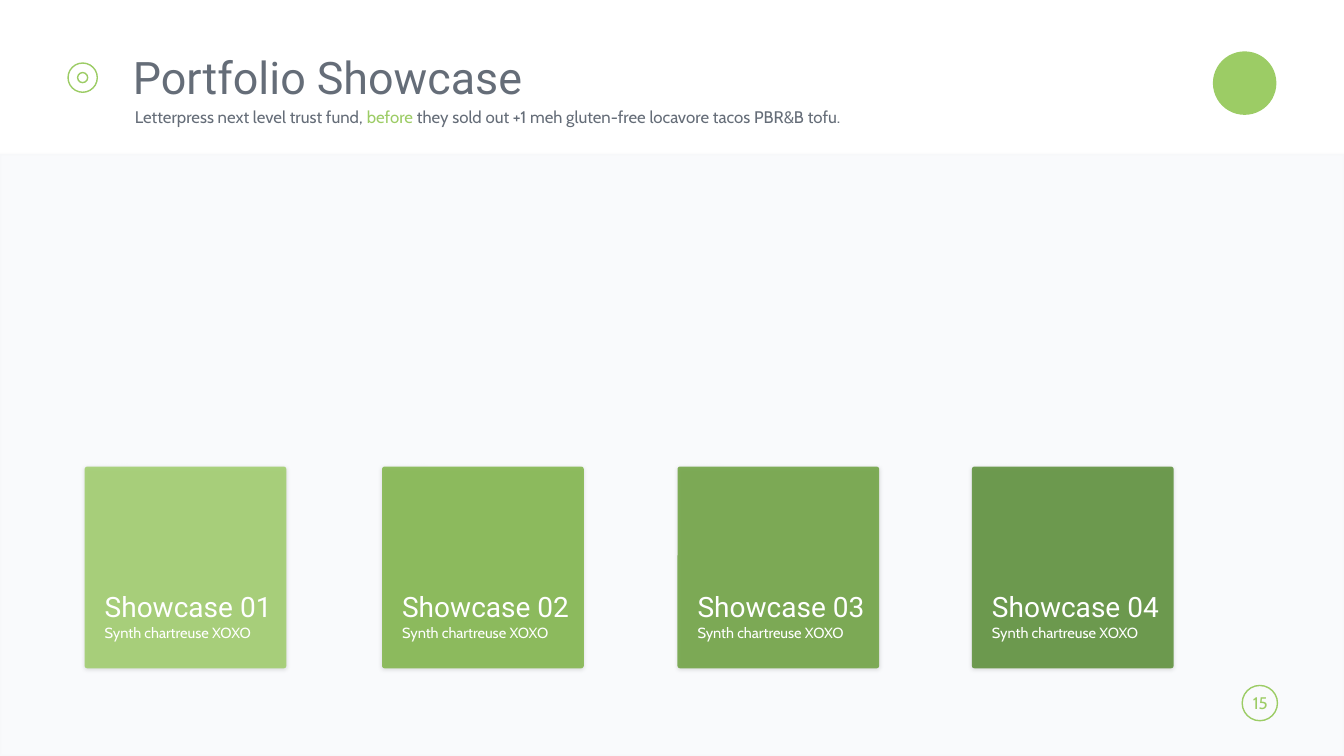
from lxml.etree import SubElement
from pptx import Presentation
from pptx.dml.color import RGBColor
from pptx.enum.shapes import MSO_SHAPE
from pptx.enum.text import MSO_ANCHOR, PP_ALIGN
from pptx.oxml.ns import qn
from pptx.util import Inches, Pt

WIDE, HIGH = 13.33, 7.5
GREEN, GRAY, WHITE = "9CCC65", "656D78", "FFFFFF"
HEAD, BODY = "Roboto", "Cabin"
TOP, SIDE = 4.63, 2
CARDS = [
    (0.84, "9CCC65"),
    (3.79, "7CB342"),
    (6.72, "689F38"),
    (9.64, "558B2F"),
]


def paint(color, tone, alpha=100):
    """Set a colour format to a hex tone, alpha in percent."""
    color.rgb = RGBColor.from_string(tone)
    if alpha < 100:
        node = color._xFill.find(qn("a:srgbClr"))
        SubElement(node, qn("a:alpha"), val=str(alpha * 1000))


def add_shape(shapes, kind, box, fill=None, alpha=100, line=None, width=1, fade=100):
    shape = shapes.add_shape(kind, *map(Inches, box))
    shape.shadow.inherit = False
    if fill:
        shape.fill.solid()
        paint(shape.fill.fore_color, fill, alpha)
    else:
        shape.fill.background()
    if line:
        shape.line.width = Pt(width)
        shape.line.fill.solid()
        paint(shape.line.fill.fore_color, line, fade)
    else:
        shape.line.fill.background()
    return shape


def add_text(shapes, box, runs, size, font, space=None, align=PP_ALIGN.LEFT, wrap=True):
    """Write one line made of (text, tone) runs."""
    frame = shapes.add_textbox(*map(Inches, box)).text_frame
    frame.word_wrap = wrap
    frame.vertical_anchor = MSO_ANCHOR.TOP
    para = frame.paragraphs[0]
    para.alignment = align
    if space:
        para.line_spacing = space
    for text, tone in runs:
        run = para.add_run()
        run.text = text
        run.font.size = Pt(size)
        run.font.name = font
        paint(run.font.color, tone)


def add_glow(shape):
    """Cast a soft shadow straight down."""
    effects = shape._element.spPr.find(qn("a:effectLst"))
    shadow = SubElement(
        effects, qn("a:outerShdw"), blurRad=str(Pt(3)), dist=str(Pt(1)),
        dir="5400000", algn="t", rotWithShape="0")
    tone = SubElement(shadow, qn("a:srgbClr"), val="000000")
    SubElement(tone, qn("a:alpha"), val="15000")


def add_ring(shapes, x, y, size):
    """Draw an open circle around a centre."""
    box = (x - size / 2, y - size / 2, size, size)
    add_shape(shapes, MSO_SHAPE.OVAL, box, line=GREEN)


def add_card(shapes, left, tone, number):
    group = shapes.add_group_shape().shapes
    tile = add_shape(group, MSO_SHAPE.ROUNDED_RECTANGLE,
                     (left, TOP, SIDE, SIDE), tone, 82)
    tile.adjustments[0] = 0.012
    add_glow(tile)
    add_text(group, (left + 0.1, TOP + 1.23, 1.93, 0.37),
             [(f"Showcase {number:02}", WHITE)], 20, HEAD, 0.8)
    add_text(group, (left + 0.1, TOP + 1.54, 1.93, 0.29),
             [("Synth chartreuse XOXO", WHITE)], 10.5, BODY, 0.8)


def add_frame(shapes):
    """Draw the panel, the marks and the page number."""
    add_shape(shapes, MSO_SHAPE.RECTANGLE, (0, 1.53, WIDE, HIGH - 1.53),
              "7B8DB3", 4, "EBEBEB", 2, 10)
    add_shape(shapes, MSO_SHAPE.OVAL, (12.03, 0.51, 0.63, 0.63), GREEN)
    for size in (0.29, 0.1):
        add_ring(shapes, 0.82, 0.77, size)
    badge = add_shape(shapes, MSO_SHAPE.ROUNDED_RECTANGLE,
                      (12.32, 6.8, 0.35, 0.35), line=GREEN)
    badge.adjustments[0] = 0.5
    add_text(shapes, (12.31, 6.82, 0.38, 0.3), [("15", GREEN)], 12, BODY,
             align=PP_ALIGN.CENTER, wrap=False)


def main():
    deck = Presentation()
    deck.slide_width, deck.slide_height = Inches(WIDE), Inches(HIGH)
    shapes = deck.slides.add_slide(deck.slide_layouts[6]).shapes
    add_frame(shapes)
    add_text(shapes, (1.22, 0.5, 10.07, 0.53),
             [("Portfolio Showcase", GRAY)], 32, HEAD, 0.9)
    add_text(shapes, (1.24, 1.03, 7.3, 0.29), [
        ("Letterpress next level trust fund, ", GRAY),
        ("before", GREEN),
        (" they sold out +1 meh gluten-free locavore tacos PBR&B tofu.", GRAY),
    ], 12, BODY, 0.9)
    for number, (left, tone) in enumerate(CARDS, 1):
        add_card(shapes, left, tone, number)
    deck.save("out.pptx")


if __name__ == "__main__":
    main()
